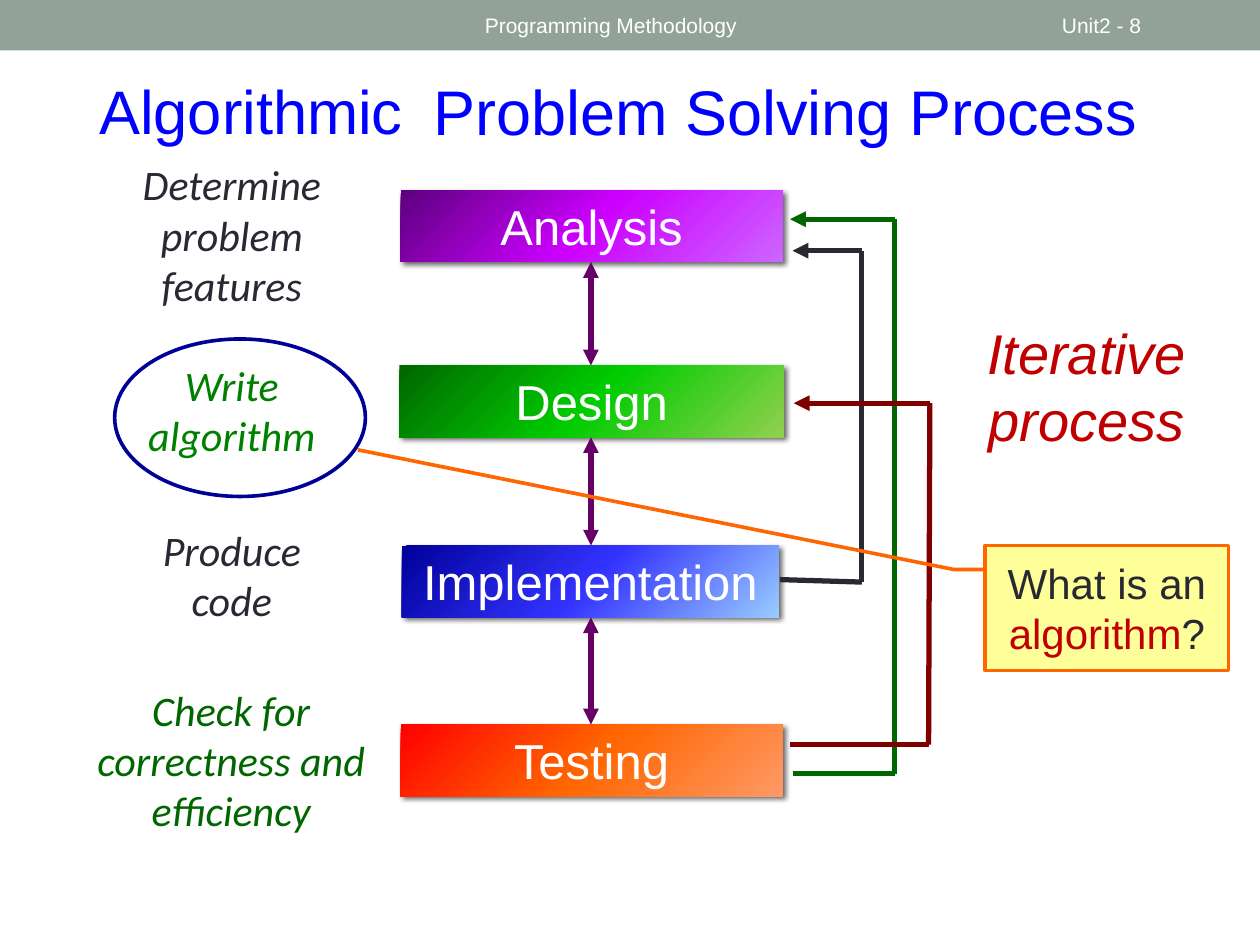
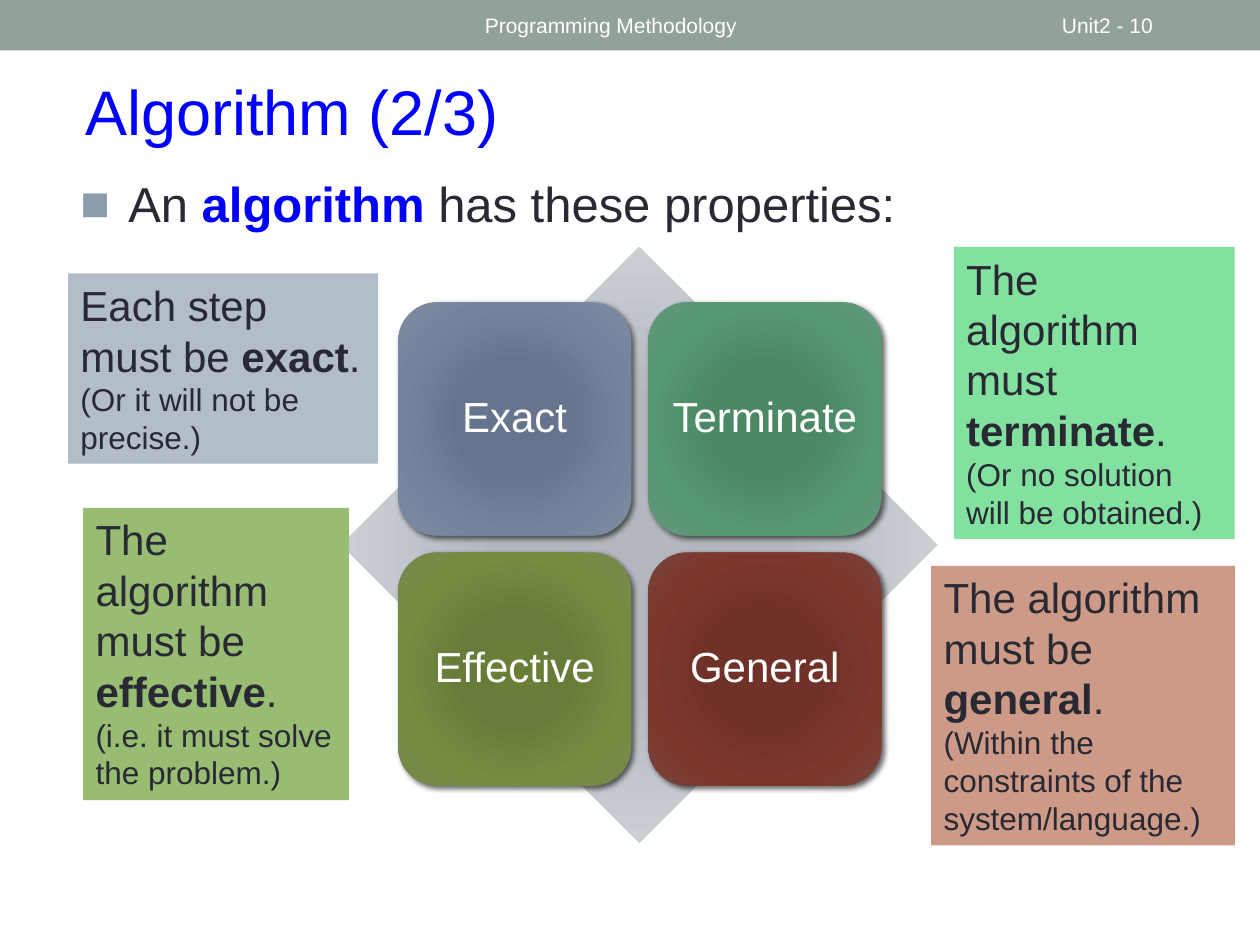
from itertools import pairwise

from lxml.etree import SubElement
from pptx import Presentation
from pptx.dml.color import RGBColor
from pptx.enum.shapes import MSO_CONNECTOR, MSO_SHAPE
from pptx.enum.text import MSO_ANCHOR, PP_ALIGN
from pptx.oxml.ns import qn
from pptx.util import Inches, Pt

BAND = RGBColor(0x93, 0xA2, 0x99)
WHITE = RGBColor(0xFF, 0xFF, 0xFF)
BLUE = RGBColor(0x00, 0x00, 0xFF)
INK = RGBColor(0x29, 0x29, 0x34)
RED = RGBColor(0xC0, 0x00, 0x00)
GREEN = RGBColor(0x00, 0x80, 0x00)
DARK_GREEN = RGBColor(0x00, 0x66, 0x00)
MAROON = RGBColor(0x80, 0x00, 0x00)
PURPLE = RGBColor(0x66, 0x00, 0x66)
NAVY = RGBColor(0x00, 0x00, 0x99)
ORANGE = RGBColor(0xFF, 0x66, 0x00)
YELLOW = RGBColor(0xFF, 0xFF, 0x99)
BULLET = RGBColor(0x8B, 0x9C, 0xAC)

BODY = {"name": "Arial", "size": Pt(24), "color": INK}
TITLE = BODY | {"size": Pt(36), "color": BLUE}
FOOTER = BODY | {"size": Pt(12), "color": WHITE}
STAGE = BODY | {"size": Pt(28), "color": WHITE}
TILE = BODY | {"color": WHITE}
NOTE = BODY | {"name": "Calibri", "italic": True}
BOLD = BODY | {"bold": True}
SMALL = BODY | {"size": Pt(18)}
LEAD = BODY | {"size": Pt(28)}

COURSE = "Programming Methodology"

# Process slide: name, left, top, width, gradient
STAGES = [
    ("Analysis", 3.18, 1.51, 3.03, ["5C007E", "CC00FF", "CC66FF"]),
    ("Design", 3.17, 2.9, 3.05, ["006600", "00CC00", "92D050"]),
    ("Implementation", 3.19, 4.33, 2.99, ["000099", "3333FF", "99CCFF"]),
    ("Testing", 3.18, 5.75, 3.03, ["FF0000", "FF6600", "FF9966"]),
]
STAGE_HEIGHT = 0.57
STAGE_CENTRE = 4.69
STAGE_STOPS = [0, 50, 100]

STAGE_NOTES = [
    ("Determine problem features", INK, (0.63, 1.21, 2.42, 1.31)),
    ("Write algorithm", GREEN, (0.67, 2.8, 2.34, 0.91)),
    ("Produce code", INK, (0.91, 4.11, 1.86, 0.91)),
    ("Check for correctness and efficiency", DARK_GREEN, (0.45, 5.38, 2.77, 1.31)),
]
FEEDBACK_ROUTES = [
    (INK, [(6.19, 4.6), (6.84, 4.62), (6.84, 1.99), (6.29, 1.99)]),
    (DARK_GREEN, [(6.29, 6.14), (7.1, 6.14), (7.1, 1.74), (6.27, 1.74)]),
    (MAROON, [(6.27, 5.91), (7.37, 5.91), (7.38, 3.2), (6.3, 3.2)]),
]
QUESTION = [[("What is an ", BODY), ("algorithm", BODY | {"color": RED}), ("?", BODY)]]
QUESTION_BOX = (7.82, 4.33, 1.93, 0.99)
QUESTION_LEADER = [(7.82, 4.52), (7.57, 4.52), (2.84, 3.57)]

# Properties slide: tiles run row by row
LEAD_TEXT = [[("An ", LEAD), ("algorithm", LEAD | {"bold": True, "color": BLUE}),
              (" has these properties:", LEAD)]]
TILES = [
    ("Exact", ["65758F", "66758D", "74849E", "808DA0"]),
    ("Terminate", ["4A8A66", "4C8866", "559874", "64967B"]),
    ("Effective", ["697F37", "687C39", "758B40", "76884E"]),
    ("General", ["722F26", "703128", "7D372D", "77443C"]),
]
TILE_LEFT, TILE_TOP, TILE_SIZE, TILE_PITCH = 3.16, 2.4, 1.85, 1.985
DIAMOND_COLOURS = ["B4B8BE", "B4B8BE", "CACED5", "D7DADF"]
RADIAL_STOPS = [0, 34, 70, 100]
EXPLANATIONS = [
    ("B2BDC8", (0.54, 2.17, 2.46, 1.51),
     [[("Each step must be ", BODY), ("exact", BOLD), (". ", BODY),
       ("(Or it will not be precise.)", SMALL)]]),
    ("83E1A0", (7.57, 1.96, 2.23, 2.32),
     [[("The algorithm must ", BODY), ("terminate", BOLD), (".", BODY)],
      [("(Or no solution will be obtained.)", SMALL)]]),
    ("97BC72", (0.66, 4.03, 2.11, 2.32),
     [[("The algorithm must be ", BODY), ("effective", BOLD), (".", BODY)],
      [("(i.e. it must solve the problem.)", SMALL)]]),
    ("CC9A86", (7.39, 4.49, 2.41, 2.22),
     [[("The algorithm must be ", BODY), ("general", BOLD), (".", BODY)],
      [("(Within the constraints of the system/language.)", SMALL)]]),
]


def write(shape, paragraphs, align=PP_ALIGN.LEFT, anchor=MSO_ANCHOR.TOP, spacing=None):
    """Fill a shape with paragraphs, each a list of (text, format) runs."""
    frame = shape.text_frame
    frame.word_wrap = True
    frame.vertical_anchor = anchor
    for index, runs in enumerate(paragraphs):
        paragraph = frame.add_paragraph() if index else frame.paragraphs[0]
        paragraph.alignment = align
        paragraph.line_spacing = spacing
        for text, style in runs:
            run = paragraph.add_run()
            run.text = text
            for key, value in style.items():
                if key == "color":
                    run.font.color.rgb = value
                else:
                    setattr(run.font, key, value)


def add_text(slide, box, paragraphs, **layout):
    textbox = slide.shapes.add_textbox(*map(Inches, box))
    write(textbox, paragraphs, **layout)
    return textbox


def add_figure(slide, preset, box, fill=None, line=None):
    figure = slide.shapes.add_shape(preset, *map(Inches, box))
    figure.shadow.inherit = False
    if fill is None:
        figure.fill.background()
    else:
        figure.fill.solid()
        figure.fill.fore_color.rgb = fill
    if line is None:
        figure.line.fill.background()
    else:
        figure.line.color.rgb = line
        figure.line.width = Pt(2.08)
    return figure


def add_colour(parent, colour):
    return SubElement(parent, qn("a:srgbClr"), val=str(colour))


def shade(figure, positions, colours, radial=False):
    """Replace the fill by a 45 degree or a radial gradient."""
    figure.fill.gradient()
    gradient = figure.element.spPr.find(qn("a:gradFill"))
    for child in list(gradient):
        gradient.remove(child)
    stops = SubElement(gradient, qn("a:gsLst"))
    for position, colour in zip(positions, colours):
        add_colour(SubElement(stops, qn("a:gs"), pos=str(position * 1000)), colour)
    if radial:
        circle = SubElement(gradient, qn("a:path"), path="circle")
        SubElement(circle, qn("a:fillToRect"),
                   dict.fromkeys("ltrb", "50000"))
    else:
        SubElement(gradient, qn("a:lin"), ang=str(45 * 60000), scaled="0")


def cast_shadow(figure):
    effects = figure.element.spPr.find(qn("a:effectLst"))
    shadow = SubElement(effects, qn("a:outerShdw"), blurRad=str(Pt(3)), dist=str(Pt(2)),
                        dir=str(45 * 60000), algn="tl", rotWithShape="0")
    SubElement(add_colour(shadow, "000000"), qn("a:alpha"), val="60000")


def add_line(slide, start, end, colour, arrowheads=()):
    connector = slide.shapes.add_connector(MSO_CONNECTOR.STRAIGHT,
                                           *map(Inches, (*start, *end)))
    connector.line.color.rgb = colour
    connector.line.width = Pt(3)
    for arrowhead in arrowheads:
        SubElement(connector.line._get_or_add_ln(), qn(f"a:{arrowhead}"), type="triangle")
    SubElement(connector.element.spPr, qn("a:effectLst"))


def add_bullet(paragraph):
    properties = paragraph._p.get_or_add_pPr()
    properties.set("marL", str(Inches(0.38)))
    properties.set("indent", str(-Inches(0.38)))
    add_colour(SubElement(properties, qn("a:buClr")), BULLET)
    SubElement(properties, qn("a:buFont"), typeface="Arial")
    SubElement(properties, qn("a:buChar"), char="■")


def add_title(slide, text, left, width, style=TITLE):
    add_text(slide, (left, 0.5, width, 0.75), [[(text, style)]], anchor=MSO_ANCHOR.MIDDLE)


def start_slide(deck, number):
    """Add a blank slide with the band, course name and page number."""
    slide = deck.slides.add_slide(deck.slide_layouts[6])
    add_figure(slide, MSO_SHAPE.RECTANGLE, (0, 0, 10, 0.4), BAND)
    for text, left, width in [(COURSE, 3.75, 4.5), (f"Unit2 - {number}", 8.33, 1.17)]:
        add_text(slide, (left, 0.02, width, 0.36), [[(text, FOOTER)]],
                 anchor=MSO_ANCHOR.MIDDLE)
    return slide


def build_process(deck):
    slide = start_slide(deck, 8)
    add_title(slide, "Algorithmic", 0.69, 3.26, TITLE | {"size": Pt(35.1)})
    add_title(slide, "Problem Solving Process", 3.34, 6.12)

    for name, left, top, width, colours in STAGES:
        stage = add_figure(slide, MSO_SHAPE.RECTANGLE, (left, top, width, STAGE_HEIGHT))
        shade(stage, STAGE_STOPS, colours)
        cast_shadow(stage)
        write(stage, [[(name, STAGE)]], align=PP_ALIGN.CENTER)
    for (_, _, upper, _, _), (_, _, lower, _, _) in pairwise(STAGES):
        add_line(slide, (STAGE_CENTRE, upper + STAGE_HEIGHT), (STAGE_CENTRE, lower),
                 PURPLE, ["headEnd", "tailEnd"])
    for colour, points in FEEDBACK_ROUTES:
        for start, end in pairwise(points):
            add_line(slide, start, end, colour, ["tailEnd"] if end == points[-1] else [])

    add_text(slide, (7.5, 2.48, 2.25, 1.18),
             [[("Iterative process",
                BODY | {"size": Pt(32), "color": RED, "italic": True})]],
             align=PP_ALIGN.CENTER)
    for text, colour, box in STAGE_NOTES:
        add_text(slide, box, [[(text, NOTE | {"color": colour})]], align=PP_ALIGN.CENTER)
    add_figure(slide, MSO_SHAPE.OVAL, (0.91, 2.69, 1.99, 1.25), line=NAVY)

    question = add_figure(slide, MSO_SHAPE.LINE_CALLOUT_2, QUESTION_BOX, YELLOW, ORANGE)
    left, top, width, height = QUESTION_BOX
    for index, (x, y) in enumerate(QUESTION_LEADER):
        question.adjustments[2 * index] = (y - top) / height
        question.adjustments[2 * index + 1] = (x - left) / width
    write(question, QUESTION, align=PP_ALIGN.CENTER, anchor=MSO_ANCHOR.MIDDLE)


def build_properties(deck):
    slide = start_slide(deck, 10)
    add_title(slide, "Algorithm (2/3)", 0.58, 8.92)
    lead = add_text(slide, (0.54, 1.33, 8.63, 0.8), LEAD_TEXT)
    add_bullet(lead.text_frame.paragraphs[0])

    diamond = add_figure(slide, MSO_SHAPE.DIAMOND, (2.71, 1.96, 4.73, 4.73))
    shade(diamond, RADIAL_STOPS, DIAMOND_COLOURS, radial=True)
    for index, (name, colours) in enumerate(TILES):
        row, column = divmod(index, 2)
        tile = add_figure(slide, MSO_SHAPE.ROUNDED_RECTANGLE,
                          (TILE_LEFT + column * TILE_PITCH, TILE_TOP + row * TILE_PITCH,
                           TILE_SIZE, TILE_SIZE))
        shade(tile, RADIAL_STOPS, colours, radial=True)
        cast_shadow(tile)
        write(tile, [[(name, TILE)]], align=PP_ALIGN.CENTER,
              anchor=MSO_ANCHOR.MIDDLE, spacing=0.9)
    for colour, box, paragraphs in EXPLANATIONS:
        panel = add_figure(slide, MSO_SHAPE.RECTANGLE, box, RGBColor.from_string(colour))
        write(panel, paragraphs)


def main():
    deck = Presentation()
    deck.slide_width, deck.slide_height = Inches(10), Inches(7.5)
    build_process(deck)
    build_properties(deck)
    deck.save("out.pptx")


if __name__ == "__main__":
    main()
